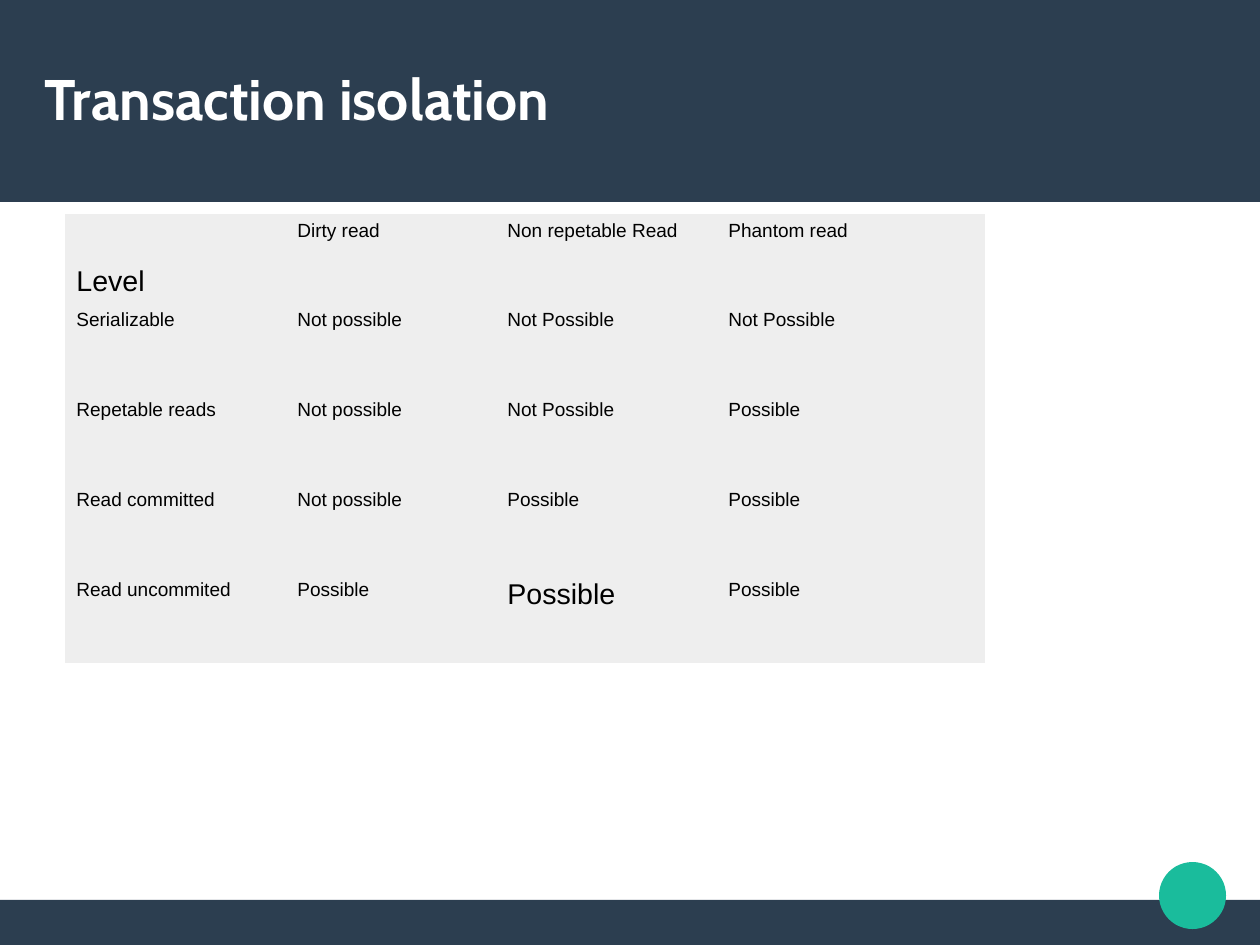
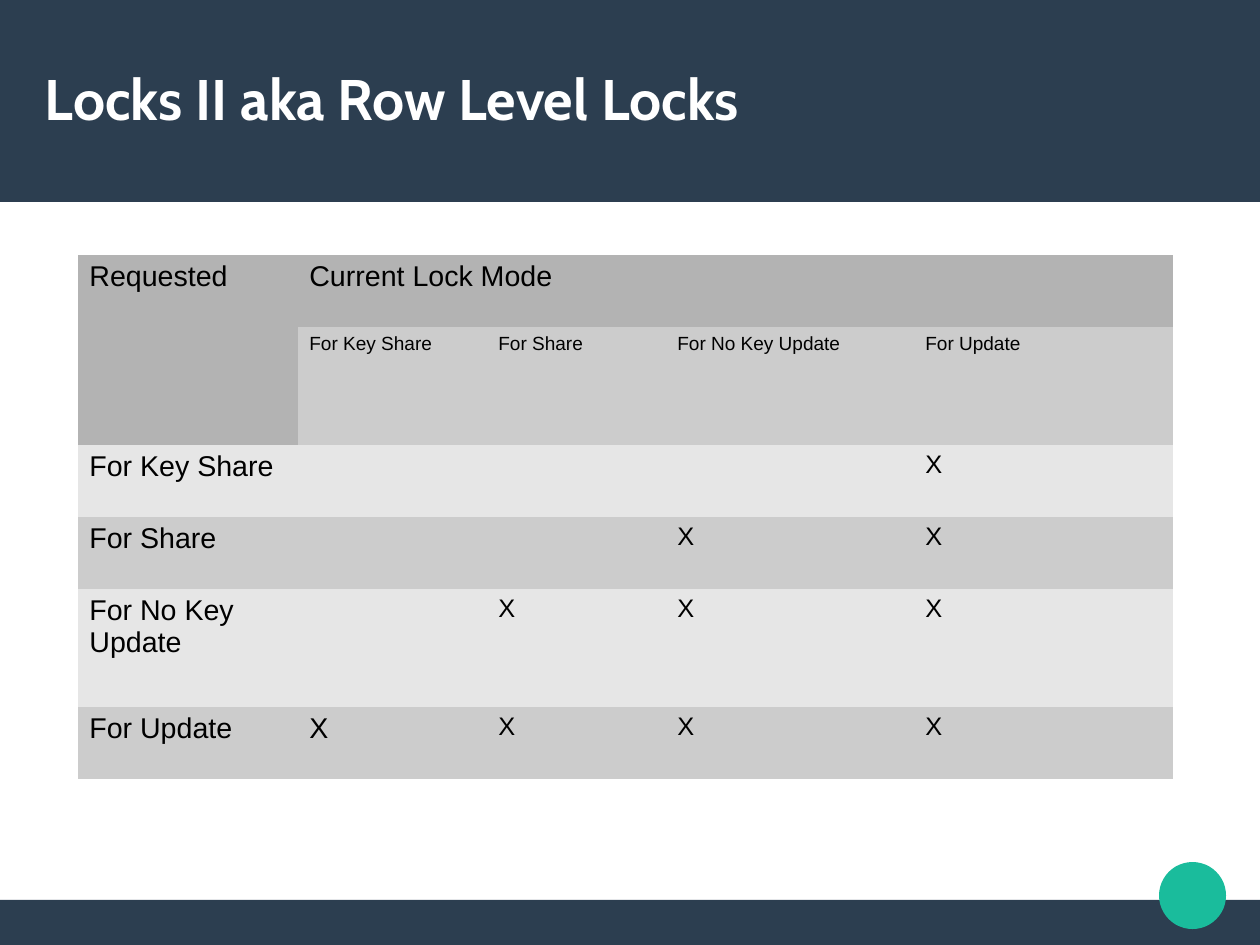
import pptx
import pptx.util
import pptx.dml.color
import pptx.enum.shapes
import pptx.enum.text
from dataclasses import dataclass

SCALE = 8000  # EMU in one px
WIDE, HIGH = 1260, 945
SHAPE = pptx.enum.shapes.MSO_SHAPE
ANCHOR = pptx.enum.text.MSO_ANCHOR
PLAIN = "{2D5ABB26-0587-4C30-8999-92F81FD0307C}"


@dataclass(frozen=True)
class Theme:
    navy: str = "2C3E50"
    teal: str = "1ABC9C"
    white: str = "FFFFFF"
    ink: str = "000000"
    pale: str = "EEEEEE"
    dark: str = "B3B3B3"
    mid: str = "CCCCCC"
    light: str = "E6E6E6"
    head: str = "Cabin"
    body: str = "Arial"
    title: int = 36
    large: int = 18
    mark: int = 16
    small: int = 12


THEME = Theme()

LEVELS = [
    ["Level", "Dirty read", "Non repetable Read", "Phantom read"],
    ["Serializable", "Not possible", "Not Possible", "Not Possible"],
    ["Repetable reads", "Not possible", "Not Possible", "Possible"],
    ["Read committed", "Not possible", "Possible", "Possible"],
    ["Read uncommited", "Possible", "Possible", "Possible"],
]

LOCKS = [
    ["Requested", "Current Lock Mode", "", "", ""],
    ["", "For Key Share", "For Share", "For No Key Update", "For Update"],
    ["For Key Share", "", "", "", "X"],
    ["For Share", "", "", "X", "X"],
    ["For No Key Update", "", "X", "X", "X"],
    ["For Update", "X", "X", "X", "X"],
]


def px(*nums):
    return [pptx.util.Emu(num * SCALE) for num in nums]


def tint(code):
    return pptx.dml.color.RGBColor.from_string(code)


def style(item, values):
    for name, value in values.items():
        setattr(item, name, value)


def paint(item, code):
    item.fill.solid()
    item.fill.fore_color.rgb = tint(code)


def write(frame, text, size, face, code, bold=False):
    run = frame.paragraphs[0].add_run()
    run.text = text
    style(run.font, {"size": pptx.util.Pt(size), "name": face, "bold": bold})
    run.font.color.rgb = tint(code)


def block(slide, kind, box, code):
    shape = slide.shapes.add_shape(kind, *px(*box))
    shape.shadow.inherit = False
    paint(shape, code)
    shape.line.fill.background()


def page(deck, title):
    """Add a slide with the shared bands, dot and title."""
    slide = deck.slides.add_slide(deck.slide_layouts[6])
    block(slide, SHAPE.RECTANGLE, (0, 900, WIDE, 45), THEME.navy)
    block(slide, SHAPE.RECTANGLE, (0, 0, WIDE, 202), THEME.navy)
    block(slide, SHAPE.OVAL, (1159, 862, 67, 67), THEME.teal)
    frame = slide.shapes.add_textbox(*px(45, 38, 1170, 120)).text_frame
    style(frame, {"margin_left": 0, "margin_right": 0, "margin_top": 0,
                  "margin_bottom": 0, "word_wrap": True,
                  "vertical_anchor": ANCHOR.MIDDLE})
    write(frame, title, THEME.title, THEME.head, THEME.white, True)
    return slide


def grid(slide, spot, cols, rows, texts, fills, size):
    """Add a table; fills holds a colour per row, size maps (row, col) to points."""
    box = px(*spot, sum(cols), sum(rows))
    table = slide.shapes.add_table(len(rows), len(cols), *box).table
    style(table, {"first_row": False, "horz_banding": False})
    table._tbl.tblPr.find(pptx.oxml.ns.qn("a:tableStyleId")).text = PLAIN
    for col, wide in zip(table.columns, px(*cols)):
        col.width = wide
    for row, high in zip(table.rows, px(*rows)):
        row.height = high
    for r, line in enumerate(texts):
        for c, text in enumerate(line):
            cell = table.cell(r, c)
            paint(cell, fills[r])
            if text:
                write(cell.text_frame, text, size(r, c), THEME.body, THEME.ink)
    return table


def level_size(row, col):
    return THEME.large if (row, col) in {(0, 0), (4, 2)} else THEME.small


def lock_size(row, col):
    if row == 0 or col == 0 or (row, col) == (5, 1):
        return THEME.large
    return THEME.small if row == 1 else THEME.mark


def main():
    deck = pptx.Presentation()
    wide, high = px(WIDE, HIGH)
    style(deck, {"slide_width": wide, "slide_height": high})

    slide = page(deck, "Transaction isolation")
    table = grid(slide, (65, 214), [221, 210, 221, 268], [89] + [90] * 4,
                 LEVELS, [THEME.pale] * 5, level_size)
    table.cell(0, 0).vertical_anchor = ANCHOR.BOTTOM

    slide = page(deck, "Locks II aka Row Level Locks")
    fills = [THEME.dark] + [THEME.mid, THEME.light] * 2 + [THEME.mid]
    table = grid(slide, (78, 255), [220, 189, 179, 248, 259],
                 [72, 118, 72, 72, 118, 72], LOCKS, fills, lock_size)
    table.cell(0, 0).merge(table.cell(1, 0))
    table.cell(0, 1).merge(table.cell(0, 4))

    deck.save("out.pptx")


if __name__ == "__main__":
    main()
